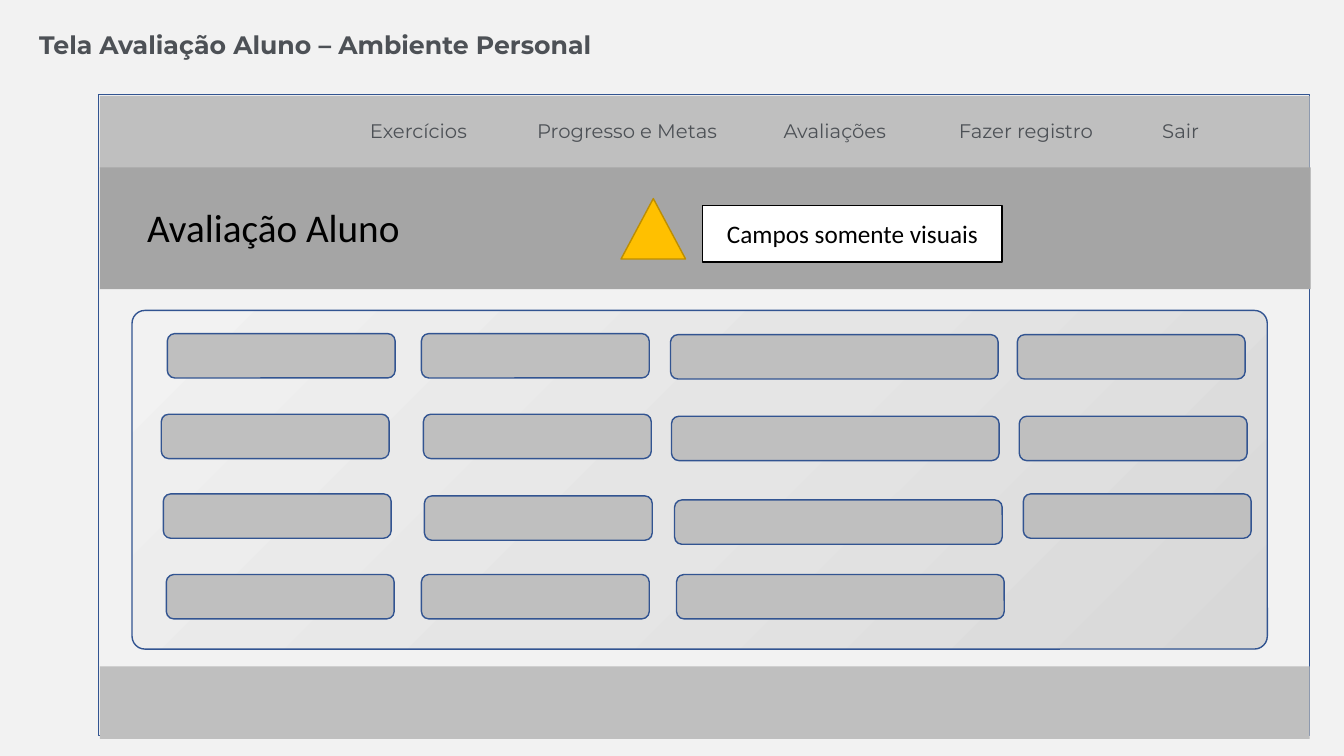
"""Build the student assessment wireframe slide for the personal trainer area."""
from lxml import etree
from pptx import Presentation
from pptx.dml.color import RGBColor
from pptx.enum.shapes import MSO_SHAPE as Shape
from pptx.enum.text import MSO_ANCHOR as Anchor, MSO_AUTO_SIZE as AutoSize, PP_ALIGN as Align
from pptx.oxml import parse_xml
from pptx.oxml.ns import nsdecls, qn
from pptx.util import Inches, Pt

COLORS = {
    "page": "F2F2F2", "bar": "BFBFBF", "header": "A5A5A5", "outline": "325491",
    "warning": "FFC000", "warning_edge": "BD8E00",
    "white": "FFFFFF", "black": "000000", "text": "4D5156",
}
PANEL_STOPS = [(0, "D8D8D8"), (50, "E5E5E5"), (100, "F2F2F2")]

TITLE = "Tela Avaliação Aluno – Ambiente Personal"
HEADING = "Avaliação Aluno"
NOTICE = "Campos somente visuais"
MENU = [
    ("Exercícios", 3.19, 1.92),
    ("Progresso e Metas", 5.13, 2.18),
    ("Avaliações", 7.32, 1.92),
    ("Fazer registro", 9.25, 1.85),
    ("Sair", 11.12, 1.18),
]
FIELD_HEIGHT = 0.44
FIELD_COLUMNS = [
    (2.26, [(1.66, 3.31), (1.6, 4.11), (1.62, 4.9), (1.65, 5.7)]),
    (2.26, [(4.18, 3.31), (4.2, 4.11), (4.21, 4.92), (4.18, 5.7)]),
    (3.25, [(6.65, 3.32), (6.66, 4.13), (6.69, 4.96), (6.71, 5.7)]),
    (2.26, [(10.09, 3.32), (10.11, 4.13), (10.15, 4.9)]),
]


def rgb(name):
    return RGBColor.from_string(COLORS[name])


def add_box(slide, kind, place, fill=None, line=None):
    box = slide.shapes.add_shape(kind, *map(Inches, place))
    box.shadow.inherit = False
    if fill:
        box.fill.solid()
        box.fill.fore_color.rgb = rgb(fill)
    if line:
        box.line.color.rgb = rgb(line)
        box.line.width = Pt(1)
    else:
        box.line.fill.background()
    return box


def write(frame, text, size, font, color, align=Align.LEFT, bold=False):
    frame.text = text
    frame.word_wrap = True
    paragraph = frame.paragraphs[0]
    paragraph.alignment = align
    style = paragraph.runs[0].font
    style.size, style.name, style.bold = Pt(size), font, bold
    style.color.rgb = rgb(color)


def add_label(slide, place, *style, **options):
    frame = slide.shapes.add_textbox(*map(Inches, place)).text_frame
    write(frame, *style, **options)
    frame.auto_size = AutoSize.SHAPE_TO_FIT_TEXT


def shade_from_corner(panel):
    panel.fill.gradient()
    old = panel._element.spPr.find(qn("a:gradFill"))
    gradient = parse_xml(f'<a:gradFill {nsdecls("a")} rotWithShape="1"><a:gsLst/></a:gradFill>')
    for position, color in PANEL_STOPS:
        stop = etree.SubElement(gradient[0], qn("a:gs"), pos=str(position * 1000))
        etree.SubElement(stop, qn("a:srgbClr"), val=color)
    circle = etree.SubElement(gradient, qn("a:path"))
    circle.set("path", "circle")
    etree.SubElement(circle, qn("a:fillToRect"), l="100000", t="100000")
    etree.SubElement(gradient, qn("a:tileRect"), r="-100000", b="-100000")
    old.getparent().replace(old, gradient)


def main():
    prs = Presentation()
    prs.slide_width, prs.slide_height = Inches(13.33), Inches(7.5)
    slide = prs.slides.add_slide(prs.slide_layouts[6])
    slide.background.fill.solid()
    slide.background.fill.fore_color.rgb = rgb("page")

    add_box(slide, Shape.RECTANGLE, (0.98, 0.94, 12.01, 6.36), "page", "outline")
    add_box(slide, Shape.RECTANGLE, (0.99, 0.95, 12, 0.72), "bar")
    add_box(slide, Shape.RECTANGLE, (0.99, 1.66, 12.01, 1.21), "header")
    panel = add_box(slide, Shape.ROUNDED_RECTANGLE, (1.31, 3.08, 11.26, 3.36), line="outline")
    panel.adjustments[0] = 0.038
    shade_from_corner(panel)

    add_label(slide, (0.29, 0.24, 6.05, 0.4), TITLE, 18, "Montserrat", "text", bold=True)
    add_label(slide, (1.36, 1.97, 2.78, 0.57), HEADING, 28, "Calibri", "black")
    add_box(slide, Shape.RECTANGLE, (0.99, 6.61, 12, 0.72), "bar")

    for width, corners in FIELD_COLUMNS:
        for left, top in corners:
            add_box(slide, Shape.ROUNDED_RECTANGLE, (left, top, width, FIELD_HEIGHT),
                    "bar", "outline")

    add_box(slide, Shape.ISOSCELES_TRIANGLE, (6.16, 1.97, 0.64, 0.6), "warning", "warning_edge")
    notice = add_box(slide, Shape.RECTANGLE, (6.97, 2.04, 2.97, 0.56), "white", "black")
    notice.text_frame.vertical_anchor = Anchor.MIDDLE
    write(notice.text_frame, NOTICE, 18, "Calibri", "black", Align.CENTER)

    for item, left, width in MENU:
        add_label(slide, (left, 1.13, width, 0.34), item, 14, "Montserrat", "text", Align.CENTER)

    prs.save("out.pptx")


if __name__ == "__main__":
    main()
